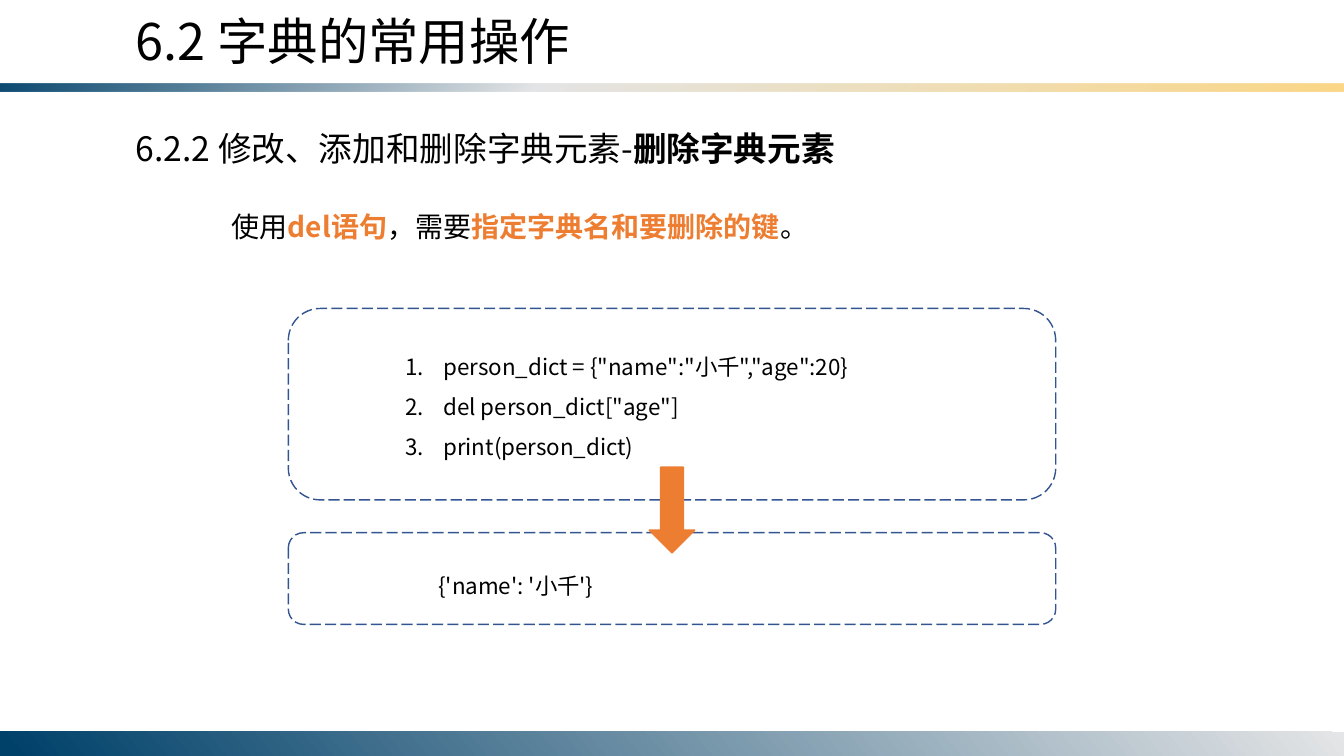
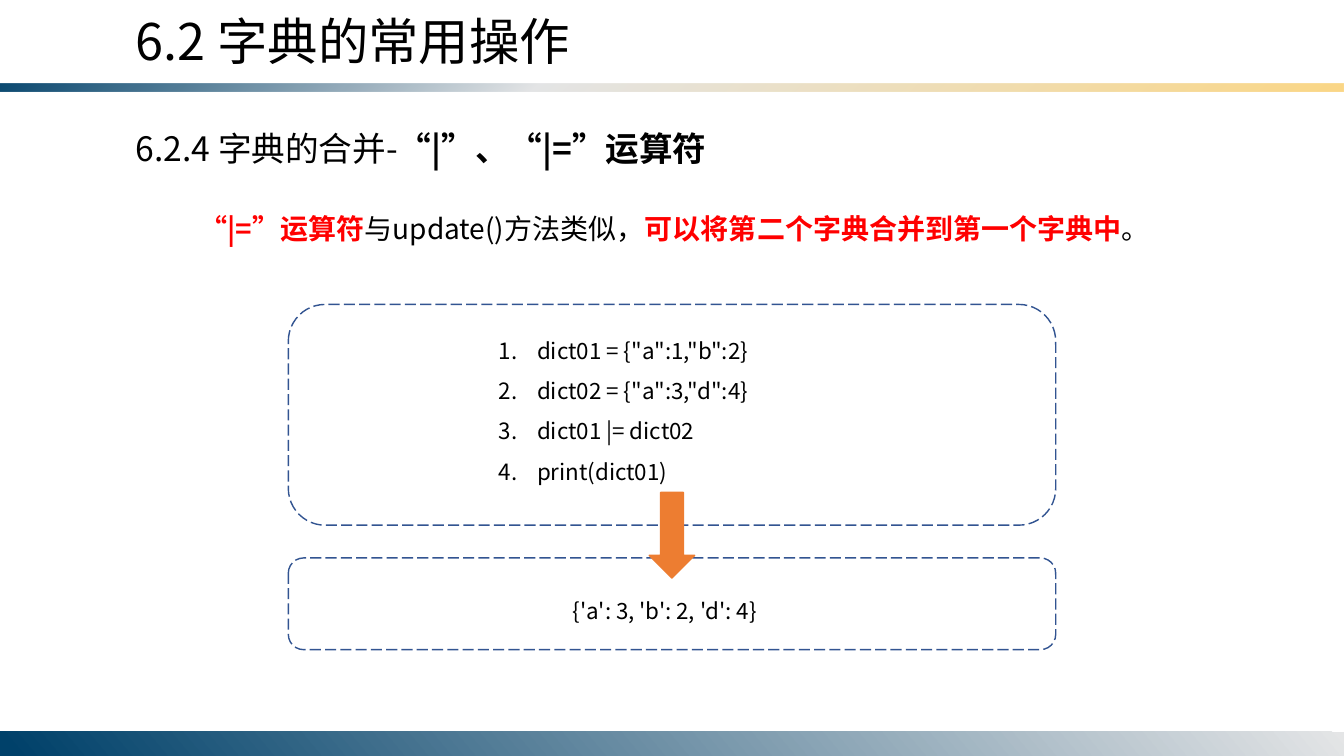
from dataclasses import dataclass

from lxml import etree
from pptx import Presentation
from pptx.dml.color import RGBColor
from pptx.enum.dml import MSO_LINE
from pptx.enum.shapes import MSO_SHAPE
from pptx.enum.text import MSO_AUTO_SIZE
from pptx.oxml.ns import qn
from pptx.util import Inches, Pt

RECT = MSO_SHAPE.RECTANGLE
ROUNDED = MSO_SHAPE.ROUNDED_RECTANGLE
DOWN_ARROW = MSO_SHAPE.DOWN_ARROW
LONG_DASH = MSO_LINE.LONG_DASH
FIT_TEXT = MSO_AUTO_SIZE.SHAPE_TO_FIT_TEXT


@dataclass(frozen=True)
class Theme:
    font: str = "Noto Sans CJK SC"
    ink: str = "000000"
    orange: str = "ED7D31"
    red: str = "FF0000"
    outline: str = "325491"
    header: tuple = ((0, "00416A", 95), (40, "E4E5E6", 100), (100, "FBD786", 100))
    footer: tuple = ((0, "E4E5E6", 100), (99, "00416A", 100))
    title: int = 36
    heading: int = 24
    lead: int = 20
    code: int = 16
    leading: float = 1.5


class Deck:
    PANEL_W = 57.1
    OUTPUT_H = 12.13
    ARROW_W = 3.38
    ARROW_H = 11.33
    GAP = 4.33
    INSET = 2.75

    def __init__(self, prs, theme):
        self.prs = prs
        self.theme = theme
        self.s = None

    def box(self, x, y, w, h):
        sw, sh = self.prs.slide_width, self.prs.slide_height
        return [round(v * size / 100) for v, size in zip((x, y, w, h), (sw, sh, sw, sh))]

    def shape(self, kind, x, y, w, h):
        sp = self.s.shapes.add_shape(kind, *self.box(x, y, w, h))
        sp.shadow.inherit = False
        return sp

    def band(self, y, h, stops, angle):
        sp = self.shape(RECT, 0, y, 100, h)
        sp.line.fill.background()
        sp.fill.gradient()
        grad = sp.element.spPr.find(qn("a:gradFill"))
        for child in list(grad):
            grad.remove(child)
        stop_list = etree.SubElement(grad, qn("a:gsLst"))
        for pos, color, alpha in stops:
            stop = etree.SubElement(stop_list, qn("a:gs"), pos=str(pos * 1000))
            rgb = etree.SubElement(stop, qn("a:srgbClr"), val=color)
            if alpha < 100:
                etree.SubElement(rgb, qn("a:alpha"), val=str(alpha * 1000))
        etree.SubElement(grad, qn("a:lin"), ang=str(angle * 60000), scaled="0")

    def text(self, x, y, w, h, lines, size, leading=None, margin=0, indent=0, numbered=False):
        tf = self.s.shapes.add_textbox(*self.box(x, y, w, h)).text_frame
        tf.word_wrap = True
        tf.auto_size = FIT_TEXT
        for i, runs in enumerate(lines):
            p = tf.paragraphs[0] if i == 0 else tf.add_paragraph()
            pPr = p._p.get_or_add_pPr()
            pPr.set("marL", str(Inches(margin)))
            pPr.set("indent", str(Inches(indent)))
            if numbered:
                etree.SubElement(pPr, qn("a:buAutoNum"), type="arabicPeriod")
            if leading:
                p.line_spacing = leading
            for words, color, bold in runs:
                self.run(p, words, size, color, bold)

    def run(self, p, words, size, color, bold):
        r = p.add_run()
        r.text = words
        r.font.name = self.theme.font
        r.font.size = Pt(size)
        r.font.bold = bold
        r.font.color.rgb = RGBColor.from_string(color)
        etree.SubElement(r._r.get_or_add_rPr(), qn("a:ea"), typeface=self.theme.font)

    def new_slide(self, title, heading, topic):
        t = self.theme
        self.s = self.prs.slides.add_slide(self.prs.slide_layouts[6])
        self.band(11.07, 1.07, t.header, 50)
        self.band(96.8, 3.2, t.footer, 140)
        self.text(9.38, 0.67, 45.9, 9.47, [[(title, t.ink, False)]], t.title)
        self.text(9.38, 16.27, 59.94, 6.67,
                  [[(heading, t.ink, False), (topic, t.ink, True)]], t.heading)

    def lead(self, x, y, w, parts, accent):
        t = self.theme
        runs = [(words, accent if strong else t.ink, strong) for words, strong in parts]
        self.text(x, y, w, 8, [runs], t.lead, t.leading, indent=0.5)

    def panel(self, y, h):
        sp = self.shape(ROUNDED, 50 - self.PANEL_W / 2, y, self.PANEL_W, h)
        sp.fill.background()
        sp.line.color.rgb = RGBColor.from_string(self.theme.outline)
        sp.line.width = Pt(1)
        sp.line.dash_style = LONG_DASH

    def arrow(self, y):
        sp = self.shape(DOWN_ARROW, 50 - self.ARROW_W / 2, y, self.ARROW_W, self.ARROW_H)
        color = RGBColor.from_string(self.theme.orange)
        sp.fill.solid()
        sp.fill.fore_color.rgb = color
        sp.line.color.rgb = color
        sp.line.width = Pt(1)

    def example(self, top, height, code_at, code, output_at, output):
        t = self.theme
        bottom = top + height
        output_top = bottom + self.GAP
        x, y, w = code_at
        lines = [[(line, t.ink, False)] for line in code]
        self.text(x, y, w, 1.33 + 5.4 * len(code), lines, t.code, t.leading,
                  margin=0.38, indent=-0.38, numbered=True)
        self.panel(top, height)
        x, w = output_at
        self.text(x, output_top + self.INSET, w, 6.67,
                  [[(output, t.ink, False)]], t.code, t.leading)
        self.panel(output_top, self.OUTPUT_H)
        self.arrow(bottom - self.GAP)


def main():
    prs = Presentation()
    prs.slide_width, prs.slide_height = Inches(13.33), Inches(7.5)
    theme = Theme()
    deck = Deck(prs, theme)
    title = "6.2 字典的常用操作"

    deck.new_slide(title, "6.2.2 修改、添加和删除字典元素-", "删除字典元素")
    deck.lead(12.75, 24.8, 74.42, [
        ("使用", False), ("del语句", True), ("，需要", False),
        ("指定字典名和要删除的键", True), ("。", False)], theme.orange)
    deck.example(
        40.8, 25.33,
        (29.4, 44.27, 41.2),
        ['person_dict = {"name":"小千","age":20}', 'del person_dict["age"]', "print(person_dict)"],
        (31.88, 36.23), "{'name': '小千'}")

    deck.new_slide(title, "6.2.4 字典的合并-", "“|”、“|=”运算符")
    deck.lead(10.35, 25.07, 75.84, [
        ("“|=”运算符", True), ("与update()方法类似，", False),
        ("可以将第二个字典合并到第一个字典中", True), ("。", False)], theme.red)
    deck.example(
        40.27, 29.2,
        (36.38, 42.13, 27.23),
        ['dict01 = {"a":1,"b":2}', 'dict02 = {"a":3,"d":4}', "dict01 |= dict02", "print(dict01)"],
        (41.86, 16.28), "{'a': 3, 'b': 2, 'd': 4}")

    prs.save("out.pptx")


if __name__ == "__main__":
    main()
